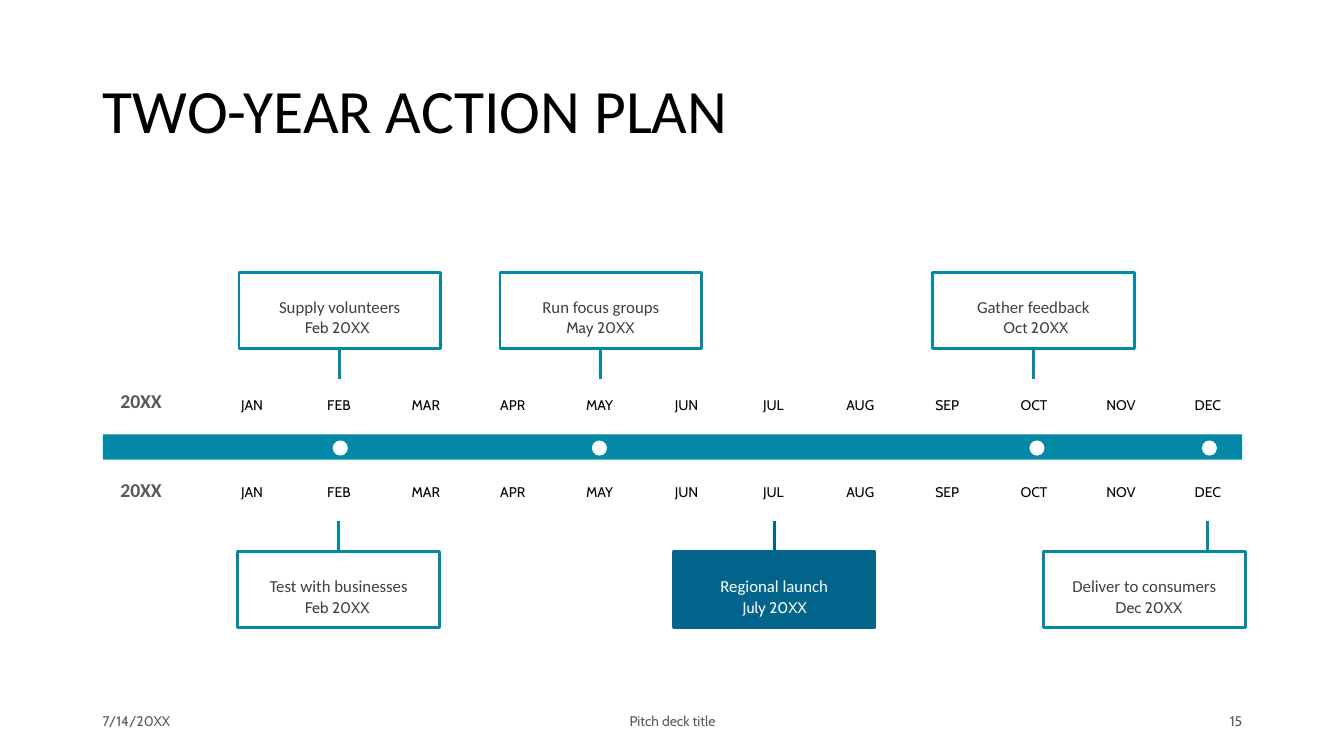
from pptx import Presentation
from pptx.dml.color import RGBColor
from pptx.enum import shapes, text
from pptx.oxml import xmlchemy as x
from pptx.util import Inches, Pt

TEAL = RGBColor(0x03, 0x88, 0xA6)
NAVY = RGBColor(0x03, 0x65, 0x8C)
WHITE = RGBColor(0xFF, 0xFF, 0xFF)
BLACK = RGBColor(0, 0, 0)
DARK = RGBColor(0x40, 0x40, 0x40)
GRAY = RGBColor(0x59, 0x59, 0x59)

LEFT, CENTER, RIGHT = text.PP_ALIGN.LEFT, text.PP_ALIGN.CENTER, text.PP_ALIGN.RIGHT
TOP, MIDDLE = text.MSO_ANCHOR.TOP, text.MSO_ANCHOR.MIDDLE
RECT, OVAL = shapes.MSO_SHAPE.RECTANGLE, shapes.MSO_SHAPE.OVAL

TITLE = {"name": "Calibri", "size": Pt(44), "color": BLACK}
YEAR = {"name": "Calibri", "size": Pt(14), "bold": True, "color": GRAY}
MONTH = {"name": "Cabin", "size": Pt(10), "color": BLACK}
FOOTER = {"name": "Cabin", "size": Pt(10), "color": GRAY}
TASK = {"name": "Calibri", "size": Pt(12)}
DATE = {"name": "Cabin", "size": Pt(11)}

DEFAULT_INSETS = (0.1, 0.05, 0.1, 0.05)
MONTHS = "JAN FEB MAR APR MAY JUN JUL AUG SEP OCT NOV DEC".split()
MONTH_PITCH = 9.48 / 11
BOX_W, BOX_H, STEM = 2, 0.76, 0.3
TOP_BOX, BOTTOM_BOX = 2.7, 5.47
CALLOUTS = [
    ("Supply volunteers", "Feb 20XX", 2.37, TOP_BOX, 2.42, 3.37, False),
    ("Run focus groups", "May 20XX", 4.96, TOP_BOX, 5.03, 5.96, False),
    ("Gather feedback", "Oct 20XX", 9.25, TOP_BOX, 9.35, 10.25, False),
    ("Test with businesses", "Feb 20XX", 2.36, BOTTOM_BOX, 2.42, 3.36, False),
    ("Regional launch", "July 20XX", 6.68, BOTTOM_BOX, 6.76, 7.68, True),
    ("Deliver to consumers", "Dec 20XX", 10.35, BOTTOM_BOX, 10.47, 11.98, False),
]


def write(sp, words, fmt, align=CENTER, spacing=0.9, insets=DEFAULT_INSETS, anchor=TOP):
    tf = sp.text_frame
    tf.word_wrap = True
    tf.auto_size = text.MSO_AUTO_SIZE.NONE
    tf.vertical_anchor = anchor
    for side, inset in zip(("left", "top", "right", "bottom"), insets):
        setattr(tf, f"margin_{side}", Inches(inset))
    p = tf.paragraphs[0]
    p.alignment, p.line_spacing = align, spacing
    r = p.add_run()
    r.text = words
    for key, value in fmt.items():
        if key == "color":
            r.font.color.rgb = value
        else:
            setattr(r.font, key, value)


def add_label(s, words, at, fmt, **layout):
    write(s.shapes.add_textbox(*map(Inches, at)), words, fmt, **layout)


def add_block(s, kind, at, fill=None, line=None):
    sp = s.shapes.add_shape(kind, *map(Inches, at))
    sp.shadow.inherit = False
    if fill is None:
        sp.fill.background()
    else:
        sp.fill.solid()
        sp.fill.fore_color.rgb = fill
    if line is None:
        sp.line.fill.background()
    else:
        sp.line.color.rgb = line
        sp.line.width = Pt(2)
    return sp


def add_stem(s, box, x_pos, above, color):
    start = TOP_BOX + BOX_H if above else BOTTOM_BOX
    end = start + STEM if above else start - STEM
    stem = s.shapes.add_connector(
        shapes.MSO_CONNECTOR.STRAIGHT, *map(Inches, (x_pos, start, x_pos, end)))
    if abs(box.left + box.width / 2 - Inches(x_pos)) < Inches(0.01):
        stem.begin_connect(box, 2 if above else 0)
    stem.line.color.rgb = color
    stem.line.width = Pt(2)
    stem._element.spPr.append(x.OxmlElement("a:effectLst"))


def add_callout(s, task, date, left, top, date_left, stem_x, strong):
    line, ink = (NAVY, WHITE) if strong else (TEAL, DARK)
    box = add_block(s, RECT, (left, top, BOX_W, BOX_H), NAVY if strong else None, line)
    write(box, task, {**TASK, "color": ink}, spacing=2, insets=(0, 0.04, 0, 0))
    add_label(s, date, (date_left, top + 0.48, 1.85, 0.25), {**DATE, "color": ink},
              insets=(0, 0, 0, 0))
    add_stem(s, box, stem_x, top == TOP_BOX, line)


def add_year(s, year_top, months_top):
    add_label(s, "20XX", (1, year_top, 0.8, 0.5), YEAR, anchor=MIDDLE)
    for i, month in enumerate(MONTHS):
        add_label(s, month, (2.15 + i * MONTH_PITCH, months_top, 0.7, 0.22), MONTH)


def add_title(s, words):
    title = s.shapes.title
    title.left, title.top, title.width, title.height = map(Inches, (0.92, 0.4, 11.5, 1.45))
    write(title, words, TITLE, align=LEFT, anchor=MIDDLE)


def main():
    """Build the two-year action plan timeline slide."""
    prs = Presentation()
    prs.slide_width, prs.slide_height = Inches(13.33), Inches(7.5)
    s = prs.slides.add_slide(prs.slide_layouts[5])
    add_title(s, "TWO-YEAR ACTION PLAN")
    add_block(s, RECT, (1.02, 4.31, 11.3, 0.25), TEAL)
    for left in (3.3, 5.87, 10.21, 11.92):
        add_block(s, OVAL, (left, 4.37, 0.15, 0.15), WHITE)
    for year_top, months_top in ((3.74, 3.9), (4.62, 4.77)):
        add_year(s, year_top, months_top)
    for callout in CALLOUTS:
        add_callout(s, *callout)
    for words, left, width, align in (("7/14/20XX", 0.92, 3, LEFT),
                                      ("Pitch deck title", 4.42, 4.5, CENTER),
                                      ("15", 9.42, 3, RIGHT)):
        add_label(s, words, (left, 6.95, width, 0.4), FOOTER,
                  align=align, spacing=1.0, anchor=MIDDLE)
    prs.save("out.pptx")


if __name__ == "__main__":
    main()
